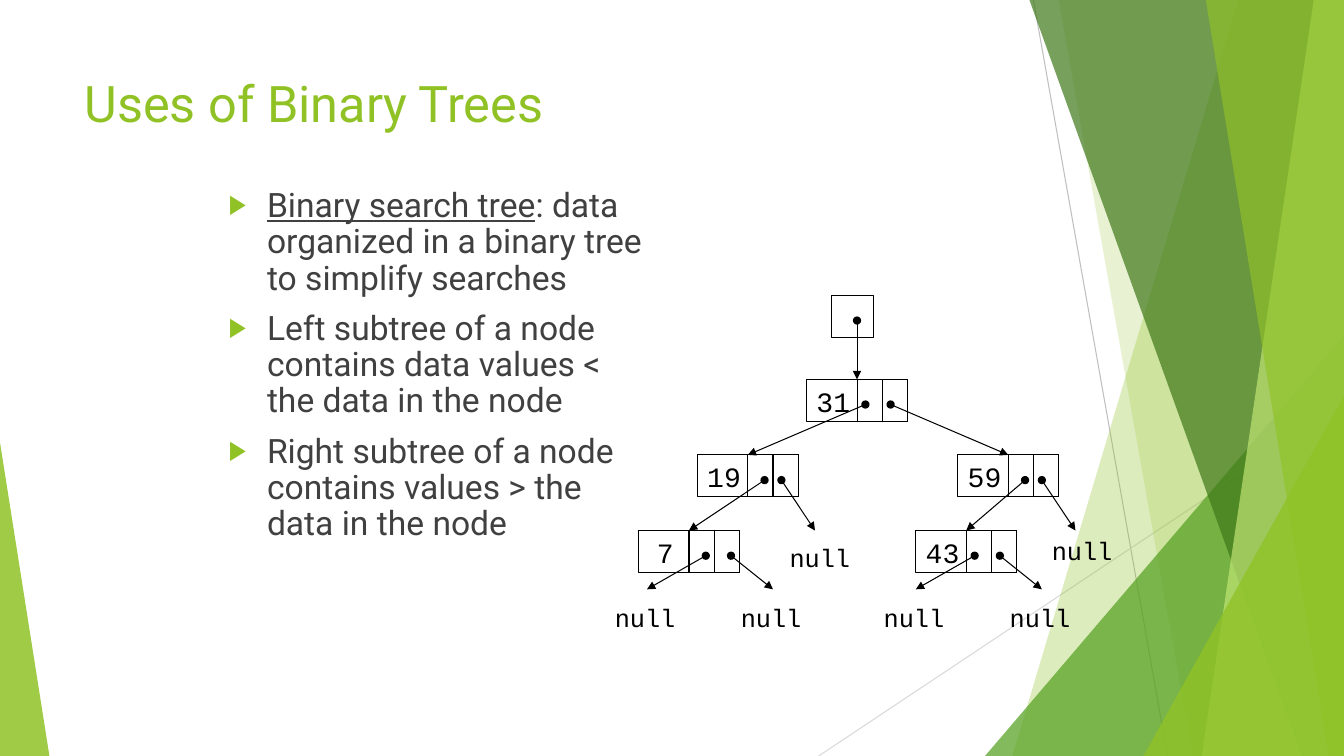
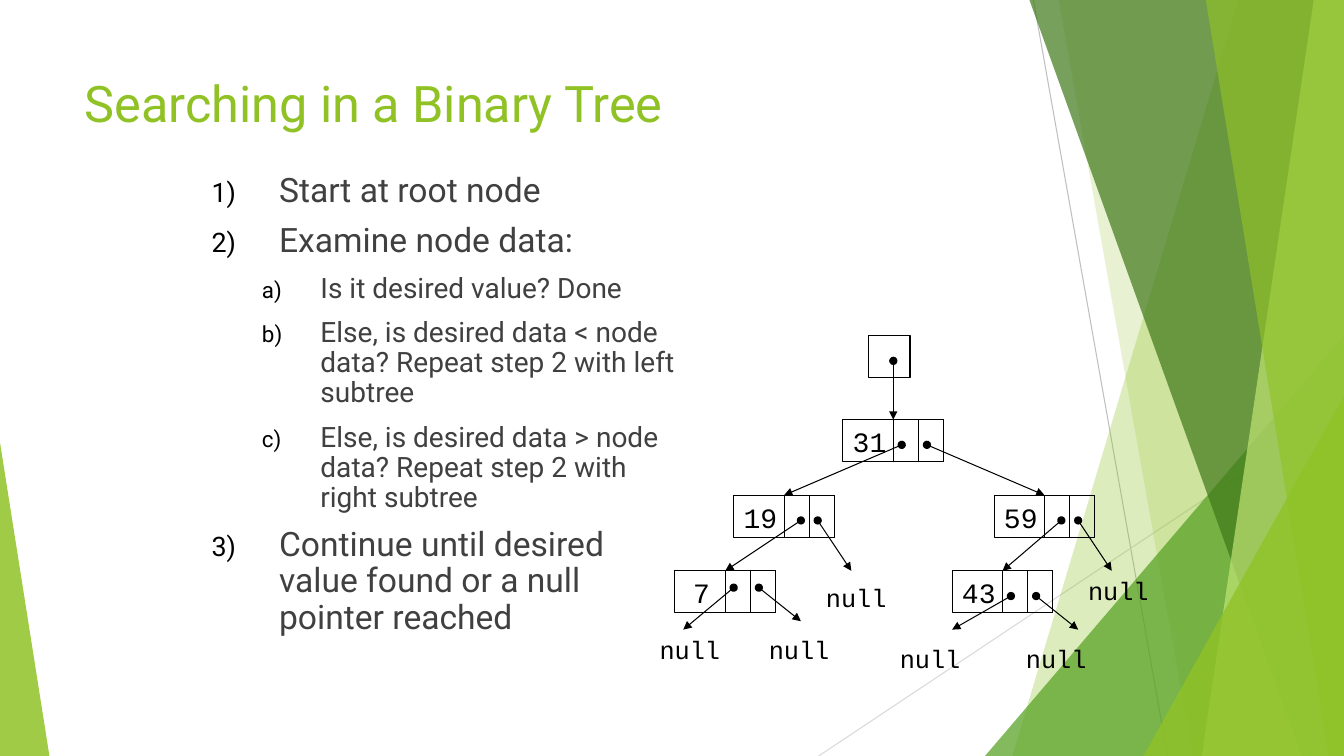
from lxml import etree
from pptx import Presentation
from pptx.dml.color import RGBColor
from pptx.enum.shapes import MSO_CONNECTOR, MSO_SHAPE
from pptx.enum.text import MSO_ANCHOR, PP_ALIGN
from pptx.oxml.ns import qn
from pptx.util import Inches, Pt

STRAIGHT = MSO_CONNECTOR.STRAIGHT
RECTANGLE, TRIANGLE = MSO_SHAPE.RECTANGLE, MSO_SHAPE.ISOSCELES_TRIANGLE
TOP, CENTER = MSO_ANCHOR.TOP, PP_ALIGN.CENTER
TOP_SIDE = 0

WIDTH, HEIGHT = 13.33, 7.5
GREEN, LEAF, FOREST, LIME = "90C226", "54A021", "3F7819", "C0E474"
BODY, BLACK = "404040", "000000"
TEXT_FONT, CODE_FONT = "Roboto", "Courier New"

# Background facets: x of the top left, bottom left; colour, opacity
FACETS_BACK = [(12.28, 10.04, GREEN, 30), (10.5, 11.83, GREEN, 20)]
FACETS_FRONT = [(10.21, 12.91, FOREST, 70), (13.03, 11.92, LIME, 70),
                (11.96, 13.18, GREEN, 65)]

# The tree sits on a grid of twelfths of an inch, counted from its top left
UNIT = Inches(1) // 12
NODE_WIDTH, NODE_HEIGHT, CELL_WIDTH = 12, 5, 3
NODES = {"31": (24, 10), "59": (42, 19), "19": (11, 19), "7": (4, 28), "43": (37, 28)}
ROOT_BOX = (27, 0)
# Parent, pointer offset inside the parent, child
LINKS = [("31", 7, "19"), ("31", 10, "59"), ("19", 8, "7"), ("59", 8, "43")]
# Pointer start, pointer end, top left of the label
UPPER_NULLS = [((21, 22), (25, 28), (20.8, 28.8)), ((52, 22), (56, 28), (52, 28))]
USES_NULLS = [((12, 31), (5, 35), (0, 36)), ((15, 31), (20, 35), (15, 36)),
              ((44, 31), (37, 35), (32, 36)), ((47, 31), (52, 35), (47, 36))]
SEARCH_NULLS = [((11, 30), (5, 35), (1, 35)), ((14, 30), (19, 34), (14, 35)),
                ((44, 31), (37, 35), (29.6, 36)), ((47, 31), (52, 35), (44.6, 36))]

# Marker element and attributes, marker colour, left indent, hanging, text size
ARROW = ("a:buChar", {"char": "▶"}, GREEN, 0.38, 0.38, 24, 0)
STEP = ("a:buAutoNum", {"type": "arabicParenR"}, BLACK, 0.67, 0.67, 24, 0)
SUBSTEP = ("a:buAutoNum", {"type": "alphaLcParenR"}, BLACK, 1.08, 0.58, 20, 1)

# Marker style, underlined opening words, remaining words
USES = [
    (ARROW, "Binary search tree", ": data organized in a binary tree to simplify searches"),
    (ARROW, "", "Left subtree of a node contains data values < the data in the node"),
    (ARROW, "", "Right subtree of a node contains values > the data in the node"),
]
SEARCH = [
    (STEP, "", "Start at root node"),
    (STEP, "", "Examine node data:"),
    (SUBSTEP, "", "Is it desired value? Done"),
    (SUBSTEP, "", "Else, is desired data < node data? Repeat step 2 with left subtree"),
    (SUBSTEP, "", "Else, is desired data > node data? Repeat step 2 with right subtree"),
    (STEP, "", "Continue until desired value found or a null pointer reached"),
]


def color(value):
    return RGBColor.from_string(value)


def add_child(parent, tag, **attributes):
    return etree.SubElement(parent, qn(tag), attributes)


def format_run(run, size, hex_color, font=TEXT_FONT):
    run.font.name = font
    run.font.size = Pt(size)
    run.font.color.rgb = color(hex_color)


def add_line(shapes, start, end, hex_color):
    """Draw a thin connector between two points given in EMU."""
    line = shapes.add_connector(STRAIGHT, *start, *end)
    line.line.color.rgb = color(hex_color)
    line.line.width = Pt(0.75)
    add_child(line.element.spPr, "a:effectLst")
    return line


def fill_facet(shape, hex_color, opacity):
    shape.shadow.inherit = False
    shape.line.fill.background()
    shape.fill.solid()
    shape.fill.fore_color.rgb = color(hex_color)
    srgb = shape.element.spPr.find(qn("a:solidFill")).find(qn("a:srgbClr"))
    add_child(srgb, "a:alpha", val=str(opacity * 1000))


def add_facets(shapes, facets):
    """Add bands that reach from a slanted left edge to the slide's right edge."""
    for top_left, bottom_left, hex_color, opacity in facets:
        builder = shapes.build_freeform(Inches(top_left), 0)
        corners = [(WIDTH, 0), (WIDTH, HEIGHT), (bottom_left, HEIGHT)]
        builder.add_line_segments([(Inches(x), Inches(y)) for x, y in corners])
        fill_facet(builder.convert_to_shape(), hex_color, opacity)


def add_corner(shapes, left, top, width, peak, hex_color, opacity):
    """Add a right triangle standing on the slide's bottom edge."""
    corner = shapes.add_shape(TRIANGLE, Inches(left), Inches(top),
                              Inches(width), Inches(HEIGHT - top))
    corner.adjustments[0] = peak
    fill_facet(corner, hex_color, opacity)


def add_background(slide):
    shapes = slide.shapes.add_group_shape().shapes
    add_line(shapes, (Inches(10.25), 0), (Inches(11.58), Inches(HEIGHT)), "BFBFBF")
    add_line(shapes, (Inches(WIDTH), Inches(4.03)), (Inches(8.12), Inches(HEIGHT)), "D9D9D9")
    add_facets(shapes, FACETS_BACK)
    add_corner(shapes, 9.77, 3.33, 3.56, 1, LEAF, 72)
    add_facets(shapes, FACETS_FRONT)
    add_corner(shapes, 11.34, 3.93, 1.99, 1, GREEN, 80)
    add_corner(shapes, 0, 4.39, 0.49, 0, GREEN, 85)


def add_text_frame(slide, box):
    frame = slide.shapes.add_textbox(*map(Inches, box)).text_frame
    frame.word_wrap = True
    return frame


def add_title(slide, title):
    frame = add_text_frame(slide, (0.74, 0.67, 9.4, 1.44))
    frame.text = title
    format_run(frame.paragraphs[0].runs[0], 36, GREEN)


def set_marker(paragraph, style):
    tag, attributes, hex_color, indent, hanging, _, level = style
    paragraph.level = level
    properties = paragraph._p.get_or_add_pPr()
    properties.set("marL", str(Inches(indent)))
    properties.set("indent", str(-Inches(hanging)))
    add_child(add_child(properties, "a:buClr"), "a:srgbClr", val=hex_color)
    add_child(properties, "a:buSzPct", val="80000")
    add_child(properties, "a:buFont", typeface=TEXT_FONT)
    add_child(properties, tag, **attributes)


def add_list(slide, box, items):
    frame = add_text_frame(slide, box)
    for index, (style, lead, rest) in enumerate(items):
        paragraph = frame.paragraphs[0] if index == 0 else frame.add_paragraph()
        paragraph.text = lead or rest
        if lead:
            paragraph.runs[0].font.underline = True
            paragraph.add_run().text = rest
        paragraph.line_spacing = 0.9
        if index:
            paragraph.space_before = Pt(10)
        set_marker(paragraph, style)
        for run in paragraph.runs:
            format_run(run, style[5], BODY)


def add_cell(shapes, origin, place, width):
    """Outline a box whose place and width are in tree grid units."""
    left, top = grid_point(origin, place)
    cell = shapes.add_shape(RECTANGLE, left, top, width * UNIT, NODE_HEIGHT * UNIT)
    cell.shadow.inherit = False
    cell.fill.background()
    cell.line.color.rgb = color(BLACK)
    cell.line.width = Pt(0.75)
    return cell


def grid_point(origin, place):
    return tuple(Inches(start) + round(step * UNIT) for start, step in zip(origin, place))


def add_node(shapes, origin, value):
    x, y = NODES[value]
    node = add_cell(shapes, origin, (x, y), NODE_WIDTH)
    frame = node.text_frame
    frame.word_wrap = False
    frame.vertical_anchor = TOP
    frame.margin_left, frame.margin_right = 0, Inches(0.47)
    frame.text = value
    frame.paragraphs[0].alignment = CENTER
    format_run(frame.paragraphs[0].runs[0], 20, BLACK, CODE_FONT)
    for cells_from_right in (1, 2):
        cell_x = x + NODE_WIDTH - cells_from_right * CELL_WIDTH
        add_cell(shapes, origin, (cell_x, y), CELL_WIDTH)
    return node


def add_pointer(shapes, origin, start, end, target=None):
    pointer = add_line(shapes, grid_point(origin, start), grid_point(origin, end), BLACK)
    outline = pointer.element.spPr.find(qn("a:ln"))
    add_child(outline, "a:headEnd", type="oval")
    add_child(outline, "a:tailEnd", type="triangle")
    if target is not None:
        pointer.end_connect(target, TOP_SIDE)


def add_null(shapes, origin, start, end, label_place):
    add_pointer(shapes, origin, start, end)
    label = shapes.add_textbox(*grid_point(origin, label_place), Inches(0.8), Inches(0.4))
    frame = label.text_frame
    frame.word_wrap = False
    frame.text = "null"
    format_run(frame.paragraphs[0].runs[0], 18, BLACK, CODE_FONT)


def add_tree(slide, origin, lower_nulls):
    shapes = slide.shapes.add_group_shape().shapes
    add_cell(shapes, origin, ROOT_BOX, NODE_HEIGHT)
    nodes = {value: add_node(shapes, origin, value) for value in NODES}

    def point_to(child, start):
        x, y = NODES[child]
        add_pointer(shapes, origin, start, (x + NODE_WIDTH / 2, y), nodes[child])

    point_to("31", (ROOT_BOX[0] + 3, ROOT_BOX[1] + 3))
    for parent, offset, child in LINKS:
        x, y = NODES[parent]
        point_to(child, (x + offset, y + 3))
    for null in UPPER_NULLS + lower_nulls:
        add_null(shapes, origin, *null)


def add_tree_slide(presentation, title, list_box, items, tree_origin, lower_nulls):
    slide = presentation.slides.add_slide(presentation.slide_layouts[6])
    add_background(slide)
    add_title(slide, title)
    add_list(slide, list_box, items)
    add_tree(slide, tree_origin, lower_nulls)


def main():
    presentation = Presentation()
    presentation.slide_width = Inches(WIDTH)
    presentation.slide_height = Inches(HEIGHT)
    add_tree_slide(presentation, "Uses of Binary Trees", (2.17, 1.82, 4.42, 4.35),
                   USES, (6, 2.93), USES_NULLS)
    add_tree_slide(presentation, "Searching in a Binary Tree", (2, 1.67, 4.92, 5),
                   SEARCH, (6.36, 3.33), SEARCH_NULLS)
    presentation.save("out.pptx")


if __name__ == "__main__":
    main()
